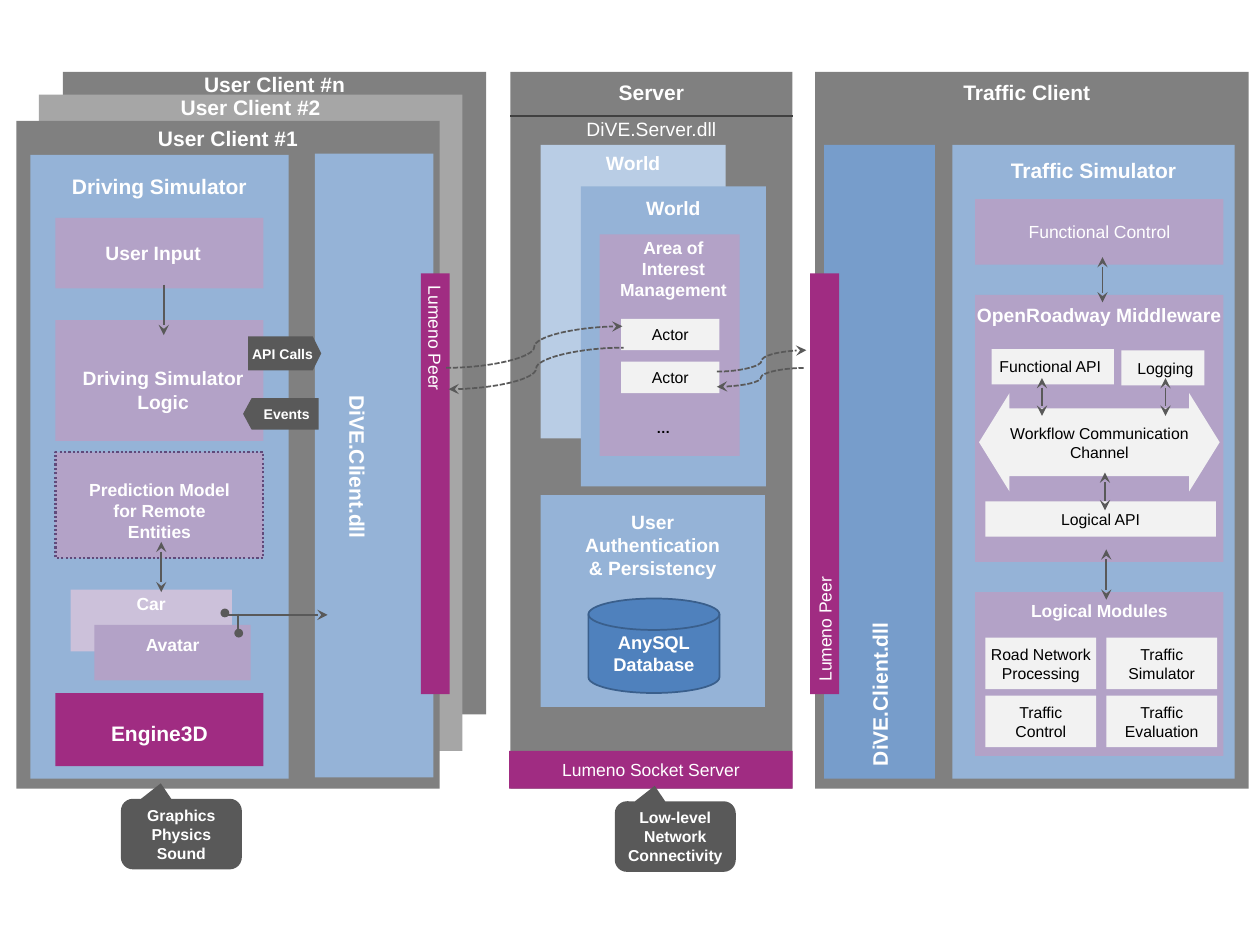
from pptx import Presentation
from pptx.dml.color import RGBColor
from pptx.enum.dml import MSO_LINE as Dash
from pptx.enum.shapes import MSO_CONNECTOR as Conn, MSO_SHAPE as Shape
from pptx.enum.text import MSO_ANCHOR as Anchor, PP_ALIGN as Align
from pptx.oxml.ns import qn
from pptx.util import Inches, Pt
from lxml.etree import SubElement

COLORS = {
    "gray": "808080", "silver": "A6A6A6", "dark": "595959", "rule": "404040",
    "blue": "95B3D7", "pale_blue": "B9CDE5", "mid_blue": "779DCB",
    "disk": "4F81BD", "disk_edge": "3A5F8C",
    "purple": "B3A2C7", "pale_purple": "CCC1DA", "purple_edge": "604A7B",
    "magenta": "A02C82", "light": "F2F2F2", "white": "FFFFFF", "black": "000000",
}
CELL = Inches(10) / 100


def grid(n):
    return round(n * CELL)


def color(name):
    return RGBColor.from_string(COLORS[name])


def write(shape, text, size, bold, ink, top, dx, pad, vert, align):
    tf = shape.text_frame
    tf.word_wrap = True
    tf.text = text
    tf.margin_left = grid(pad + max(2 * dx, 0))
    tf.margin_right = grid(pad + max(-2 * dx, 0))
    tf.margin_top, tf.margin_bottom = grid(top or 0), 0
    tf.vertical_anchor = Anchor.MIDDLE if top is None else Anchor.TOP
    if vert:
        tf.margin_top = tf.margin_bottom = grid(1)
        tf._txBody.bodyPr.set("vert", vert)
    for p in tf.paragraphs:
        p.alignment = align
        for r in p.runs:
            r.font.name = "Arial"
            r.font.size = Pt(size)
            r.font.bold = bold
            r.font.color.rgb = color(ink)


def block(s, x, y, w, h, fill, text="", size=10, bold=True, ink="white", top=None,
          dx=0, pad=0, vert=None, align=Align.CENTER, kind=Shape.RECTANGLE, adj=()):
    sp = s.shapes.add_shape(kind, *map(grid, (x, y, w, h)))
    sp.shadow.inherit = False
    sp.fill.solid()
    sp.fill.fore_color.rgb = color(fill)
    sp.line.fill.background()
    for i, value in enumerate(adj):
        sp.adjustments[i] = value
    if text:
        write(sp, text, size, bold, ink, top, dx, pad, vert, align)
    return sp


def chip(s, x, y, w, h, text, **options):
    return block(s, x, y, w, h, "light", text, 9, False, "black", **options)


def label(s, x, y, w, h, text, size, bold=True, ink="white", vert=None):
    tb = s.shapes.add_textbox(*map(grid, (x, y, w, h)))
    write(tb, text, size, bold, ink, None, 0, 0, vert, Align.CENTER)


def outline(sp, name, width, dash=None):
    sp.line.color.rgb = color(name)
    sp.line.width = Pt(width)
    if dash:
        sp.line.dash_style = dash


def arrow(s, x1, y1, x2, y2, ends=("tail",), kind=Conn.STRAIGHT, name="dark",
          width=1, dash=None):
    c = s.shapes.add_connector(kind, *map(grid, (x1, y1, x2, y2)))
    outline(c, name, width, dash)
    spPr = c._element.spPr
    for end in ends:
        SubElement(spPr.find(qn("a:ln")), qn(f"a:{end}End"), type="stealth")
    SubElement(spPr, qn("a:effectLst"))


def double_arrow(s, x, y, length):
    arrow(s, x, y, x, y + length, ("head", "tail"))


def curve(s, x1, y1, x2, y2, end):
    arrow(s, x1, y1, x2, y2, (end,), Conn.CURVE, dash=Dash.SQUARE_DOT)


def callout(s, x, y, text):
    block(s, x, y, 9.6, 5.6, "dark", text, 9, kind=Shape.ROUNDED_RECTANGULAR_CALLOUT,
          adj=(-0.17, -0.72, 0.17))


def peer_bar(s, x, vert):
    block(s, x, 21.7, 2.3, 33.4, "magenta", "Lumeno Peer", 10, False,
          vert=vert, align=Align.LEFT)


def user_clients(s):
    for x, y, h, fill, number, top in ((5, 5.7, 51, "gray", "n", 0),
                                       (3.1, 7.5, 52.1, "silver", "2", 0),
                                       (1.3, 9.6, 53, "gray", "1", 0.4)):
        block(s, x, y, 33.6, h, fill, f"User Client #{number}", 12, top=top)
    block(s, 2.4, 12.3, 20.5, 49.5, "blue", "Driving Simulator", 12, top=1.5)
    block(s, 25, 12.2, 9.4, 49.5, "blue")
    label(s, 26.9, 12.4, 3, 49.3, "DiVE.Client.dll", 12, vert="vert")
    block(s, 4.4, 17.3, 16.5, 5.6, "purple", "User Input", 11, dx=-0.5)
    block(s, 4.4, 25.4, 16.5, 9.6, "purple", "Driving Simulator Logic", 11, top=3.7, dx=0.3)
    model = block(s, 4.4, 35.9, 16.5, 8.4, "purple",
                  "Prediction Model for Remote Entities", top=2.1, pad=2)
    outline(model, "purple_edge", 1.25, Dash.ROUND_DOT)
    block(s, 5.6, 46.8, 12.8, 4.9, "pale_purple", "Car", top=0.3)
    block(s, 7.5, 49.6, 12.4, 4.4, "purple", "Avatar", top=0.7)
    block(s, 4.4, 55, 16.5, 5.8, "magenta", "Engine3D", 12, top=2.2)
    arrow(s, 13, 22.6, 13, 26.6)
    double_arrow(s, 12.8, 43, 4)
    arrow(s, 18, 48.8, 26, 48.8)
    arrow(s, 18.9, 48.7, 18.9, 50, ())
    for x, y in ((17.5, 48.3), (18.6, 49.9)):
        block(s, x, y, 0.7, 0.7, "dark", kind=Shape.OVAL)
    block(s, 19.7, 26.7, 5.8, 2.7, "dark", "API Calls", 8,
          kind=Shape.PENTAGON, adj=(0.25,))
    events = block(s, 19.3, 31.6, 6, 2.5, "dark", "Events", 8, dx=0.3,
                   kind=Shape.PENTAGON, adj=(0.27,))
    events._element.spPr.find(qn("a:xfrm")).set("flipH", "1")
    peer_bar(s, 33.4, "vert")
    callout(s, 9.6, 63.4, "Graphics\nPhysics\nSound")


def server(s):
    block(s, 40.5, 5.7, 22.4, 56.9, "gray", "Server", 12, top=0.6)
    arrow(s, 40.5, 9.2, 62.9, 9.2, (), name="rule", width=0.75)
    label(s, 40.5, 8.8, 22.4, 2.9, "DiVE.Server.dll", 11, False)
    block(s, 42.9, 11.5, 14.7, 23.3, "pale_blue", "World", 11, top=0.5)
    block(s, 46.1, 14.8, 14.7, 23.8, "blue", "World", 11, top=0.8)
    block(s, 47.6, 18.6, 11.1, 17.6, "purple", "Area of\nInterest\nManagement",
          top=0.2, dx=0.3)
    for row in range(2):
        chip(s, 49.3, 25.3 + 3.4 * row, 7.8, 2.5, "Actor")
    label(s, 47.9, 32.7, 9.5, 2.6, "…", 8, ink="black")
    block(s, 42.9, 39.3, 17.8, 16.8, "blue", "User\nAuthentication\n& Persistency", 11, top=1.2)
    disk = block(s, 46.7, 47.5, 10.4, 7.5, "disk", "AnySQL\nDatabase", 10.5,
                 kind=Shape.FLOWCHART_MAGNETIC_DISK)
    outline(disk, "disk_edge", 1)
    block(s, 40.4, 59.6, 22.5, 3, "magenta", "Lumeno Socket Server", 10, False)
    callout(s, 48.8, 63.6, "Low-level\nNetwork\nConnectivity")


def traffic_client(s):
    block(s, 64.7, 5.7, 34.4, 56.9, "gray", "Traffic Client", 12, top=0.6, dx=-0.4)
    block(s, 65.4, 11.5, 8.8, 50.3, "mid_blue", "DiVE.Client.dll", 12,
          vert="vert270", align=Align.LEFT)
    block(s, 75.6, 11.5, 22.4, 50.3, "blue", "Traffic Simulator", 12, top=1)
    block(s, 77.4, 15.8, 19.7, 5.2, "purple", "Functional Control", 10, False)
    block(s, 77.4, 23.4, 19.7, 21.2, "purple", "OpenRoadway Middleware", 11, top=0.7)
    block(s, 77.4, 47, 19.7, 13, "purple", "Logical Modules", top=0.6)
    modules = ("Road Network\nProcessing", "Traffic\nSimulator",
               "Traffic\nControl", "Traffic\nEvaluation")
    for i, text in enumerate(modules):
        chip(s, 78.2 + 9.6 * (i % 2), 50.6 + 4.6 * (i // 2), 8.8, 4.1, text)
    chip(s, 78.7, 27.7, 9.7, 2.8, "Functional API", dx=-0.2)
    chip(s, 89, 27.8, 6.6, 2.8, "Logging", dx=0.2)
    chip(s, 78.2, 39.8, 18.3, 2.8, "Logical API")
    chip(s, 77.7, 31.2, 19.1, 7.8, "Workflow Communication Channel",
         kind=Shape.LEFT_RIGHT_ARROW, adj=(0.69, 0.31))
    for x, y, length in ((87.5, 20.4, 3.6), (82.7, 30, 3), (92.5, 30, 3),
                         (87.7, 37.5, 3), (87.8, 43.6, 4)):
        double_arrow(s, x, y, length)
    peer_bar(s, 64.3, "vert270")


def messages(s):
    curve(s, 35.4, 29.2, 49.4, 25.9, "tail")
    curve(s, 35.6, 30.9, 49.5, 27.6, "head")
    curve(s, 56.9, 29.5, 64, 27.8, "tail")
    curve(s, 56.9, 30.7, 63.9, 29.2, "head")


def main():
    prs = Presentation()
    prs.slide_width, prs.slide_height = Inches(10), Inches(7.5)
    s = prs.slides.add_slide(prs.slide_layouts[6])
    for section in (user_clients, server, traffic_client, messages):
        section(s)
    prs.save("out.pptx")


if __name__ == "__main__":
    main()
